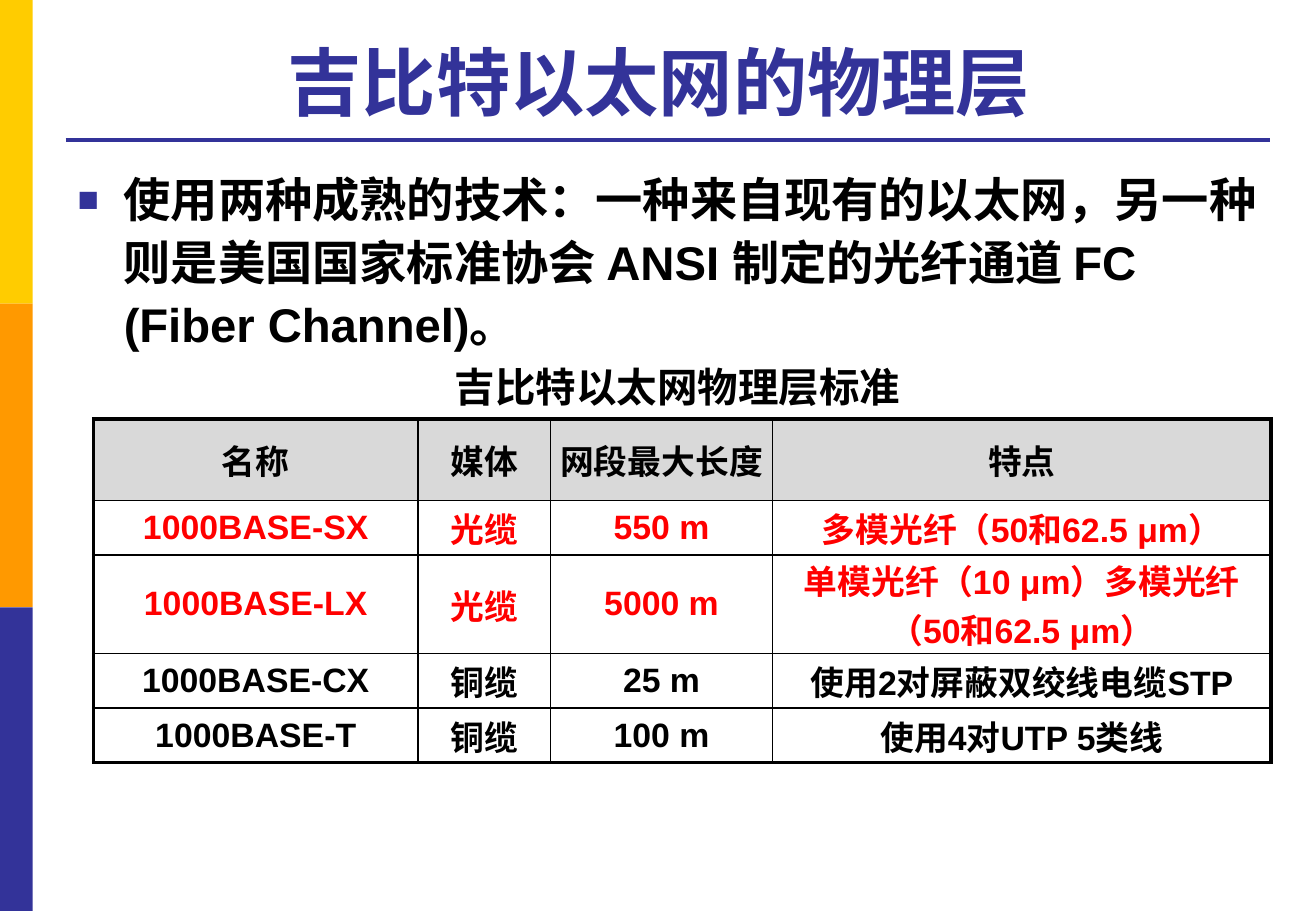
"""Build the slide on the physical layer of Gigabit Ethernet."""
from lxml.etree import SubElement
from pptx import Presentation
from pptx.dml.color import RGBColor
from pptx.enum.shapes import MSO_CONNECTOR, MSO_SHAPE
from pptx.enum.text import MSO_ANCHOR as Anchor, PP_ALIGN as Align
from pptx.oxml import parse_xml
from pptx.oxml.ns import nsdecls, qn
from pptx.util import Inches, Pt

YELLOW = RGBColor(0xFF, 0xCC, 0x00)
ORANGE = RGBColor(0xFF, 0x99, 0x00)
INDIGO = RGBColor(0x33, 0x33, 0x99)
BLACK = RGBColor(0x00, 0x00, 0x00)
RED = RGBColor(0xFF, 0x00, 0x00)
GREY = RGBColor(0xD9, 0xD9, 0xD9)

TITLE = "吉比特以太网的物理层 "
BODY = ("使用两种成熟的技术：一种来自现有的以太网，另一种则是美国国家标准协会 ANSI "
        "制定的光纤通道 FC (Fiber Channel)。")
CAPTION = "吉比特以太网物理层标准"
STANDARDS = [
    ("名称", "媒体", "网段最大长度", "特点"),
    ("1000BASE-SX", "光缆", "550 m", "多模光纤（50和62.5 μm）"),
    ("1000BASE-LX", "光缆", "5000 m", "单模光纤（10 μm）多模光纤（50和62.5 μm）"),
    ("1000BASE-CX", "铜缆", "25 m", "使用2对屏蔽双绞线电缆STP"),
    ("1000BASE-T", "铜缆", "100 m", "使用4对UTP 5类线"),
]
FIBRE = "光缆"
COLUMN_WIDTHS = (2.67, 1.09, 1.83, 4.1)
ROW_HEIGHTS = (0.67, 0.45, 0.81, 0.45, 0.45)
BAND_COLOURS = (YELLOW, ORANGE, INDIGO)
BAND_WIDTH, BAND_HEIGHT = 0.27, 2.5
LEFT, WIDTH = 0.54, 9.91
OUTER_LINE, INNER_LINE = Pt(2.25), Pt(1)


def write(paragraph, text, size, colour, align=Align.CENTER):
    paragraph.alignment = align
    run = paragraph.add_run()
    run.text = text
    run.font.name = "Arial"
    run.font.size = Pt(size)
    run.font.bold = True
    run.font.color.rgb = colour


def add_text(slide, box, text, size, colour, anchor, align=Align.CENTER):
    frame = slide.shapes.add_textbox(*map(Inches, box)).text_frame
    frame.word_wrap = True
    frame.vertical_anchor = anchor
    paragraph = frame.paragraphs[0]
    write(paragraph, text, size, colour, align)
    return paragraph


def add_bullet(paragraph):
    paragraph.line_spacing = 1.1
    paragraph.space_before = Pt(6)
    properties = paragraph._p.get_or_add_pPr()
    properties.set("marL", str(Inches(0.38)))
    properties.set("indent", str(-Inches(0.38)))
    colour = SubElement(properties, qn("a:buClr"))
    SubElement(colour, qn("a:srgbClr"), val=str(INDIGO))
    SubElement(properties, qn("a:buSzPct"), val="75000")
    SubElement(properties, qn("a:buFont"), typeface="Arial")
    SubElement(properties, qn("a:buChar"), char="■")


def add_borders(cell, outer_sides):
    properties = cell._tc.get_or_add_tcPr()
    for position, side in enumerate("LRTB"):
        width = OUTER_LINE if side in outer_sides else INNER_LINE
        properties.insert(position, parse_xml(
            f'<a:ln{side} {nsdecls("a")} w="{width}"><a:solidFill>'
            f'<a:srgbClr val="{BLACK}"/></a:solidFill></a:ln{side}>'))


def add_bands(slide):
    for index, colour in enumerate(BAND_COLOURS):
        band = slide.shapes.add_shape(
            MSO_SHAPE.RECTANGLE, 0, Inches(index * BAND_HEIGHT),
            Inches(BAND_WIDTH), Inches(BAND_HEIGHT))
        band.shadow.inherit = False
        band.fill.solid()
        band.fill.fore_color.rgb = colour
        band.line.fill.background()


def add_title_rule(slide):
    rule = slide.shapes.add_connector(
        MSO_CONNECTOR.STRAIGHT, Inches(LEFT), Inches(1.15),
        Inches(LEFT + WIDTH), Inches(1.15))
    rule.line.color.rgb = INDIGO
    rule.line.width = Pt(2.25)
    SubElement(rule._element.spPr, qn("a:effectLst"))


def add_standards(slide):
    rows, columns = len(STANDARDS), len(COLUMN_WIDTHS)
    table = slide.shapes.add_table(
        rows, columns, Inches(0.77), Inches(3.45),
        Inches(sum(COLUMN_WIDTHS)), Inches(sum(ROW_HEIGHTS))).table
    table.horz_banding = False
    table.first_row = False
    for column, width in zip(table.columns, COLUMN_WIDTHS):
        column.width = Inches(width)
    for row, height in zip(table.rows, ROW_HEIGHTS):
        row.height = Inches(height)
    for y, values in enumerate(STANDARDS):
        colour = RED if FIBRE in values else BLACK
        for x, value in enumerate(values):
            cell = table.cell(y, x)
            cell.vertical_anchor = Anchor.MIDDLE
            cell.margin_left = cell.margin_right = Inches(0.07)
            cell.margin_top = cell.margin_bottom = 0
            if y == 0:
                cell.fill.solid()
                cell.fill.fore_color.rgb = GREY
            else:
                cell.fill.background()
            edges = {"L": x == 0, "R": x == columns - 1,
                     "T": y == 0, "B": y == rows - 1}
            add_borders(cell, [side for side, outer in edges.items() if outer])
            write(cell.text_frame.paragraphs[0], value, 20, colour)


def main():
    presentation = Presentation()
    presentation.slide_width = Inches(10.83)
    presentation.slide_height = Inches(7.5)
    slide = presentation.slides.add_slide(presentation.slide_layouts[6])
    add_bands(slide)
    add_title_rule(slide)
    add_text(slide, (LEFT, 0.21, WIDTH, 0.87), TITLE, 44, INDIGO, Anchor.BOTTOM)
    add_bullet(add_text(slide, (LEFT, 1.31, WIDTH, 5.4), BODY, 28, BLACK,
                        Anchor.TOP, Align.LEFT))
    add_standards(slide)
    add_text(slide, (2.82, 2.93, 5.51, 0.5), CAPTION, 24, BLACK, Anchor.MIDDLE)
    presentation.save("out.pptx")


if __name__ == "__main__":
    main()
